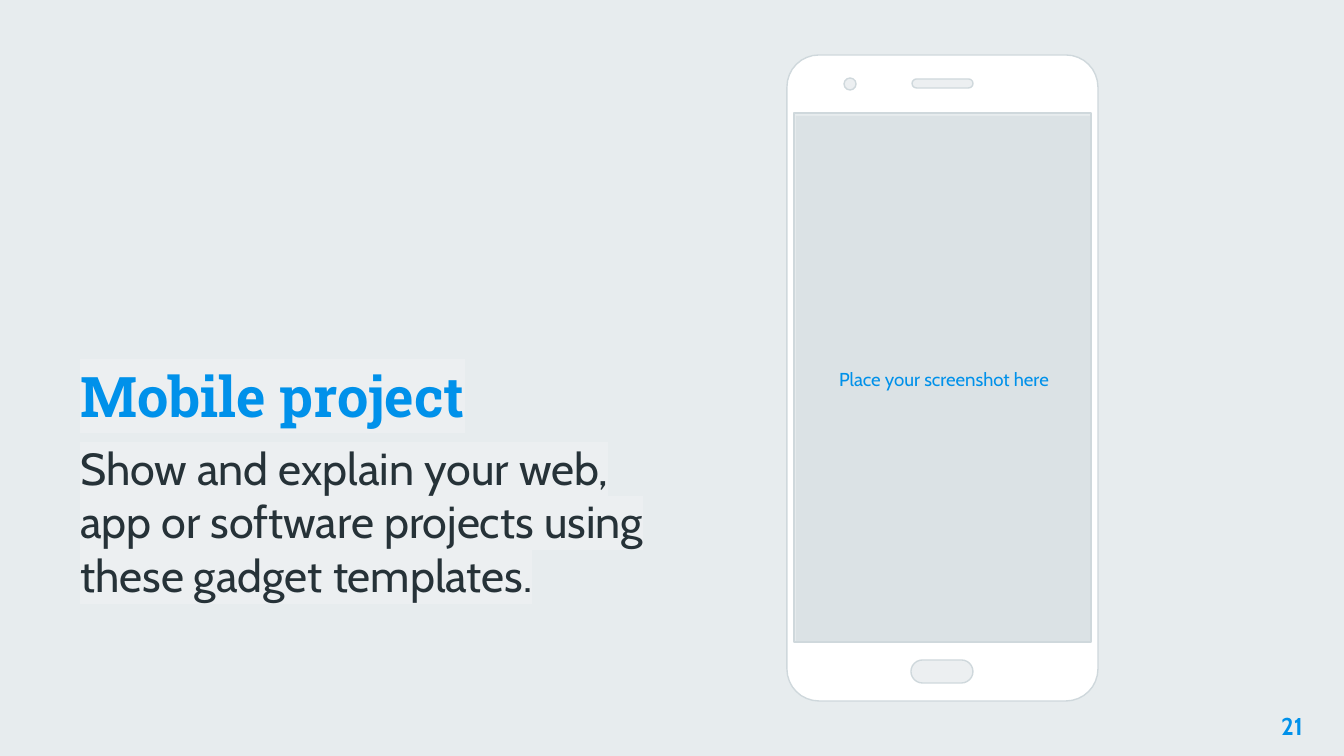
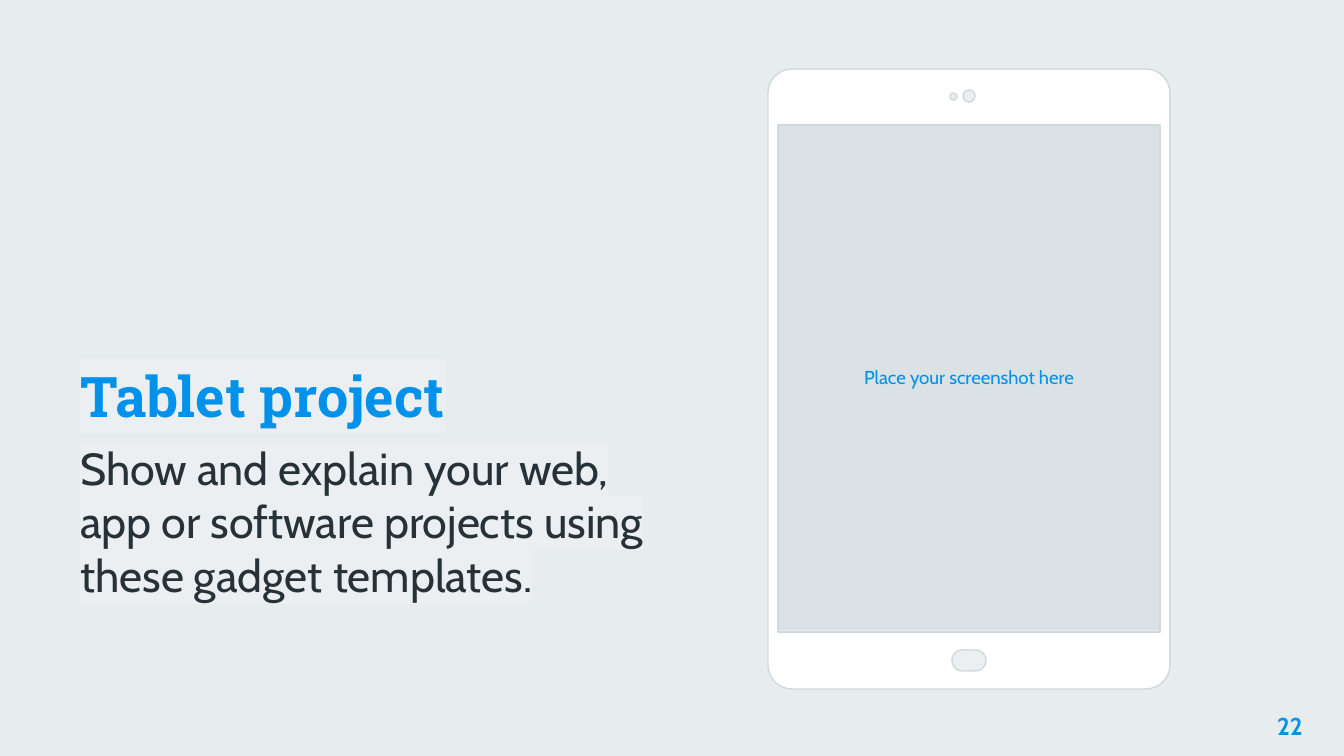
"""Build the mobile and tablet project slides."""
import math

import lxml.etree
import pptx
import pptx.dml.color
import pptx.enum.shapes
import pptx.enum.text
import pptx.oxml.ns
import pptx.util

PX = 914400 / 134.4
BLUE, DARK, GREY, PALE, WHITE = "0091EA", "263238", "CFD8DC", "ECEFF1", "FFFFFF"
BACKDROP = "E7ECEE"
ARC_STEPS = 8
LEFT, CENTER, RIGHT = (
    pptx.enum.text.PP_ALIGN.LEFT,
    pptx.enum.text.PP_ALIGN.CENTER,
    pptx.enum.text.PP_ALIGN.RIGHT,
)
ROUNDED = pptx.enum.shapes.MSO_SHAPE.ROUNDED_RECTANGLE
OVAL = pptx.enum.shapes.MSO_SHAPE.OVAL


def paint(fill, color):
    fill.solid()
    fill.fore_color.rgb = pptx.dml.color.RGBColor.from_string(color)


def write(paragraph, text, size, color, align=LEFT, bold=False, font="Cabin"):
    paragraph.alignment = align
    run = paragraph.add_run()
    run.text = text
    run.font.size = pptx.util.Pt(size)
    run.font.bold = bold
    run.font.name = font
    paint(run.font.fill, color)
    return run


projects = [
    {
        "title": "Mobile project",
        "number": "21",
        "screen": (796, 116, 296, 526),
        "body": (787, 55, 311, 646),
        "window": (794, 113, 297, 529),
        "radius": 32,
        "details": [
            (ROUNDED, 911, 660, 62, 23),
            (OVAL, 844, 78, 12, 12),
            (ROUNDED, 912, 79, 61, 9),
        ],
    },
    {
        "title": "Tablet project",
        "number": "22",
        "screen": (778, 125, 382, 505),
        "body": (768, 69, 402, 620),
        "window": (778, 125, 382, 507),
        "radius": 24,
        "details": [
            (ROUNDED, 952, 650, 34, 21),
            (OVAL, 950, 93, 7, 7),
            (OVAL, 963, 90, 12, 12),
        ],
    },
]

prs = pptx.Presentation()
prs.slide_width, prs.slide_height = round(1344 * PX), round(756 * PX)
paint(prs.slide_master.background.fill, BACKDROP)

for project in projects:
    slide = prs.slides.add_slide(prs.slide_layouts[6])
    shapes = slide.shapes

    intro = shapes.add_textbox(*(round(v * PX) for v in (67, 98, 603, 517))).text_frame
    number = shapes.add_textbox(*(round(v * PX) for v in (1235, 698, 81, 58))).text_frame
    screen = shapes.add_shape(
        pptx.enum.shapes.MSO_SHAPE.RECTANGLE, *(round(v * PX) for v in project["screen"])
    )
    for frame in (intro, number, screen.text_frame):
        frame.word_wrap = True
        frame.margin_left = frame.margin_right = pptx.util.Inches(0.1)
        frame.margin_top = frame.margin_bottom = pptx.util.Inches(0.1)

    intro.vertical_anchor = pptx.enum.text.MSO_ANCHOR.BOTTOM
    heading, explanation = intro.paragraphs[0], intro.add_paragraph()
    heading.space_before = explanation.space_before = pptx.util.Pt(6)
    highlighted = [
        write(heading, project["title"], 30, BLUE, bold=True, font="Roboto Slab"),
        write(
            explanation,
            "Show and explain your web, app or software projects using these gadget templates.",
            24,
            DARK,
        ),
    ]
    for run in highlighted:
        solid = run.font._element.find(pptx.oxml.ns.qn("a:solidFill"))
        highlight = lxml.etree.Element(pptx.oxml.ns.qn("a:highlight"))
        lxml.etree.SubElement(highlight, pptx.oxml.ns.qn("a:srgbClr"), val=PALE)
        solid.addnext(highlight)

    write(number.paragraphs[0], project["number"], 13, BLUE, RIGHT, bold=True)

    screen.shadow.inherit = False
    screen.line.fill.background()
    paint(screen.fill, GREY)
    screen_color = screen._element.spPr.find(".//" + pptx.oxml.ns.qn("a:srgbClr"))
    lxml.etree.SubElement(screen_color, pptx.oxml.ns.qn("a:alpha"), val="49000")
    screen.text_frame.vertical_anchor = pptx.enum.text.MSO_ANCHOR.MIDDLE
    write(screen.text_frame.paragraphs[0], "Place your screenshot here", 10, BLUE, CENTER)

    left, top, width, height = project["window"]
    right, bottom = left + width, top + height
    window = [(right, top), (right, bottom), (left, bottom), (left, top)]

    left, top, width, height = project["body"]
    radius = project["radius"]
    near_x, far_x = left + radius, left + width - radius
    near_y, far_y = top + radius, top + height - radius
    corners = [(far_x, far_y), (near_x, far_y), (near_x, near_y), (far_x, near_y)]
    rim = []
    for quarter, (x, y) in enumerate(corners):
        for step in range(ARC_STEPS + 1):
            angle = (quarter + step / ARC_STEPS) * math.pi / 2
            rim.append((x + radius * math.cos(angle), y + radius * math.sin(angle)))
    rim.reverse()

    window, rim = ([(round(x * PX), round(y * PX)) for x, y in outline] for outline in (window, rim))
    builder = shapes.build_freeform(*window[0])
    builder.add_line_segments(window[1:], close=True)
    builder.move_to(*rim[0])
    builder.add_line_segments(rim[1:], close=True)
    parts = [(builder.convert_to_shape(), WHITE)]

    for kind, *box in project["details"]:
        detail = shapes.add_shape(kind, *(round(v * PX) for v in box))
        if kind == ROUNDED:
            detail.adjustments[0] = 0.5
        parts.append((detail, PALE))

    for part, color in parts:
        part.shadow.inherit = False
        paint(part.fill, color)
        paint(part.line.fill, GREY)
        part.line.width = pptx.util.Pt(0.75)

prs.save("out.pptx")
